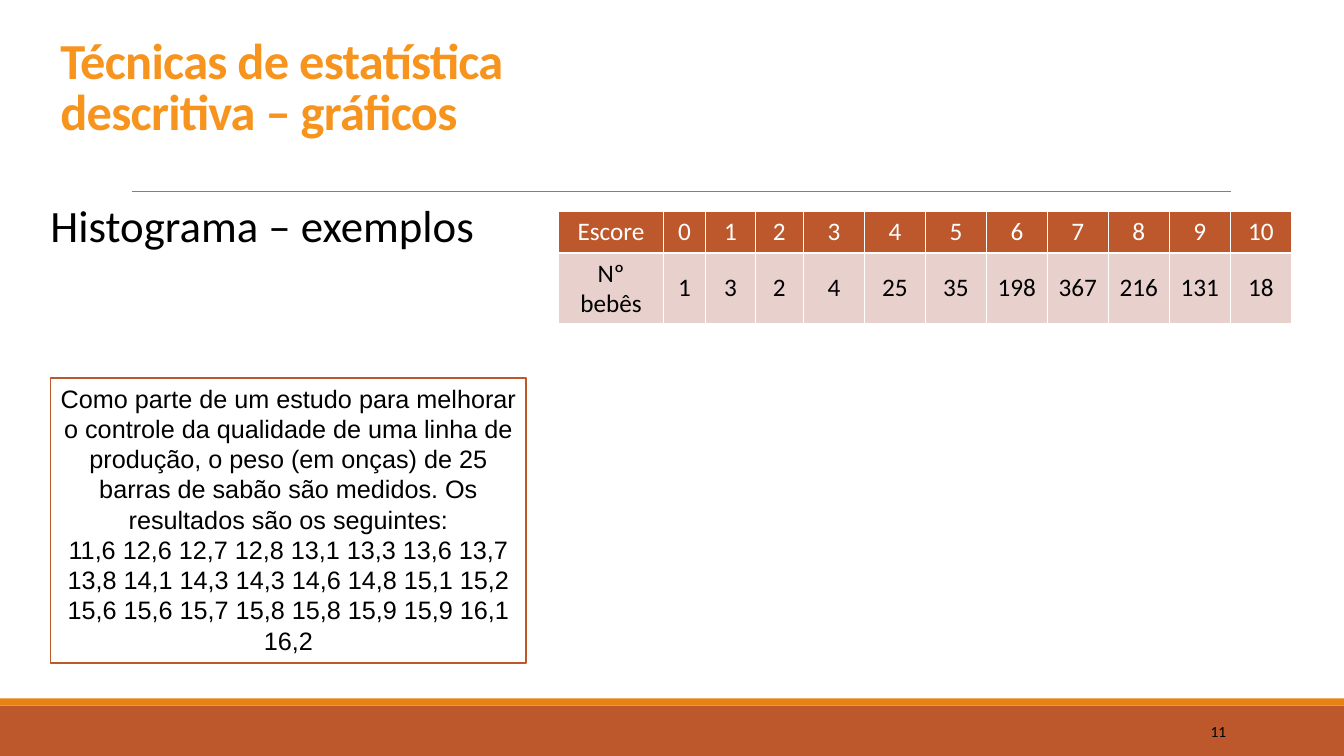
from lxml import etree
from pptx import Presentation
from pptx.dml.color import RGBColor
from pptx.enum.shapes import MSO_CONNECTOR, MSO_SHAPE
from pptx.enum.text import MSO_ANCHOR, PP_ALIGN
from pptx.oxml import parse_xml
from pptx.oxml.ns import nsdecls, qn
from pptx.util import Inches, Pt

RECT = MSO_SHAPE.RECTANGLE
STRAIGHT = MSO_CONNECTOR.STRAIGHT
TOP, MIDDLE, BOTTOM = MSO_ANCHOR.TOP, MSO_ANCHOR.MIDDLE, MSO_ANCHOR.BOTTOM
LEFT, CENTER, RIGHT = PP_ALIGN.LEFT, PP_ALIGN.CENTER, PP_ALIGN.RIGHT
RUST, ORANGE, BLACK, WHITE = "BD582C", "E48312", "000000", "FFFFFF"


def color(text):
    return RGBColor.from_string(text)


def write(frame, text, size, hue=BLACK, font="Calibri", align=LEFT, anchor=TOP):
    """Fill a text frame and format all its runs."""
    frame.text = text
    frame.word_wrap = True
    frame.vertical_anchor = anchor
    for para in frame.paragraphs:
        para.alignment = align
        for run in para.runs:
            run.font.name = font
            run.font.size = Pt(size)
            run.font.color.rgb = color(hue)


deck = Presentation()
deck.slide_width, deck.slide_height = Inches(13.33), Inches(7.5)
slide = deck.slides.add_slide(deck.slide_layouts[6])
shapes = slide.shapes

# Footer bands and rule
for top, height, hue in [(7, 0.5, RUST), (6.93, 0.07, ORANGE)]:
    band = shapes.add_shape(RECT, 0, Inches(top), deck.slide_width, Inches(height))
    band.shadow.inherit = False
    band.fill.solid()
    band.fill.fore_color.rgb = color(hue)
    band.line.fill.background()

rule = shapes.add_connector(STRAIGHT, Inches(1.31), Inches(1.9), Inches(12.21), Inches(1.9))
rule.line.color.rgb = color("808080")
rule.line.width = Pt(0.5)
etree.SubElement(rule._element.spPr, qn("a:effectLst"))

# Title, heading and page number
title = shapes.add_textbox(Inches(0.5), Inches(0.41), Inches(5.84), Inches(1.04)).text_frame
write(title, "Técnicas de estatística descritiva – gráficos", 36, "F7941E", anchor=BOTTOM)
title.paragraphs[0].line_spacing = 0.85
font = title.paragraphs[0].runs[0].font
font.bold = True
font._element.set("spc", "-50")

body = shapes.add_textbox(Inches(0.5), Inches(1.97), Inches(5.03), Inches(4.44)).text_frame
write(body, "Histograma – exemplos", 32)
body.margin_left = body.margin_right = 0
head = body.paragraphs[0]
head.line_spacing = 0.9
head.space_before, head.space_after = Pt(12), Pt(2)

page = shapes.add_textbox(Inches(10.83), Inches(7.06), Inches(1.43), Inches(0.4)).text_frame
write(page, "11", 11, align=RIGHT, anchor=MIDDLE)

# Soap study
study = shapes.add_shape(RECT, Inches(0.5), Inches(3.75), Inches(4.72), Inches(2.83))
study.shadow.inherit = False
study.fill.solid()
study.fill.fore_color.rgb = color(WHITE)
study.line.color.rgb = color(RUST)
study.line.width = Pt(1.25)
write(
    study.text_frame,
    "Como parte de um estudo para melhorar o controle da qualidade de uma linha de "
    "produção, o peso (em onças) de 25 barras de sabão são medidos. "
    "Os resultados são os seguintes:\v"
    "11,6 12,6 12,7 12,8 13,1 13,3 13,6 13,7 13,8 14,1 14,3 14,3 14,6 14,8 15,1 15,2 "
    "15,6 15,6 15,7 15,8 15,8 15,9 15,9 16,1 16,2",
    18, font="Arial", align=CENTER,
)

# Score table
rows = [
    ["Escore", *range(11)],
    ["Nº bebês", 1, 3, 2, 4, 25, 35, 198, 367, 216, 131, 18],
]
looks = [(RUST, WHITE), ("E8D1CD", BLACK)]
widths = [1.04, 0.42, 0.49, 0.48] + [0.605] * 8
table = shapes.add_table(
    2, len(widths), Inches(5.54), Inches(2.1), Inches(sum(widths)), Inches(1.11)
).table
for col, width in zip(table.columns, widths):
    col.width = Inches(width)
for row, height in zip(table.rows, [0.41, 0.7]):
    row.height = Inches(height)
for r, (row, (fill, ink)) in enumerate(zip(rows, looks)):
    for c, value in enumerate(row):
        cell = table.cell(r, c)
        write(cell.text_frame, str(value), 18, ink, align=CENTER)
        cell.vertical_anchor = MIDDLE
        cell.fill.solid()
        cell.fill.fore_color.rgb = color(fill)
        props = cell._tc.get_or_add_tcPr()
        for i, side in enumerate(["lnL", "lnR", "lnT", "lnB"]):
            props.insert(i, parse_xml(
                f'<a:{side} {nsdecls("a")} w="12700"><a:solidFill>'
                f'<a:srgbClr val="{WHITE}"/></a:solidFill></a:{side}>'
            ))

deck.save("out.pptx")
